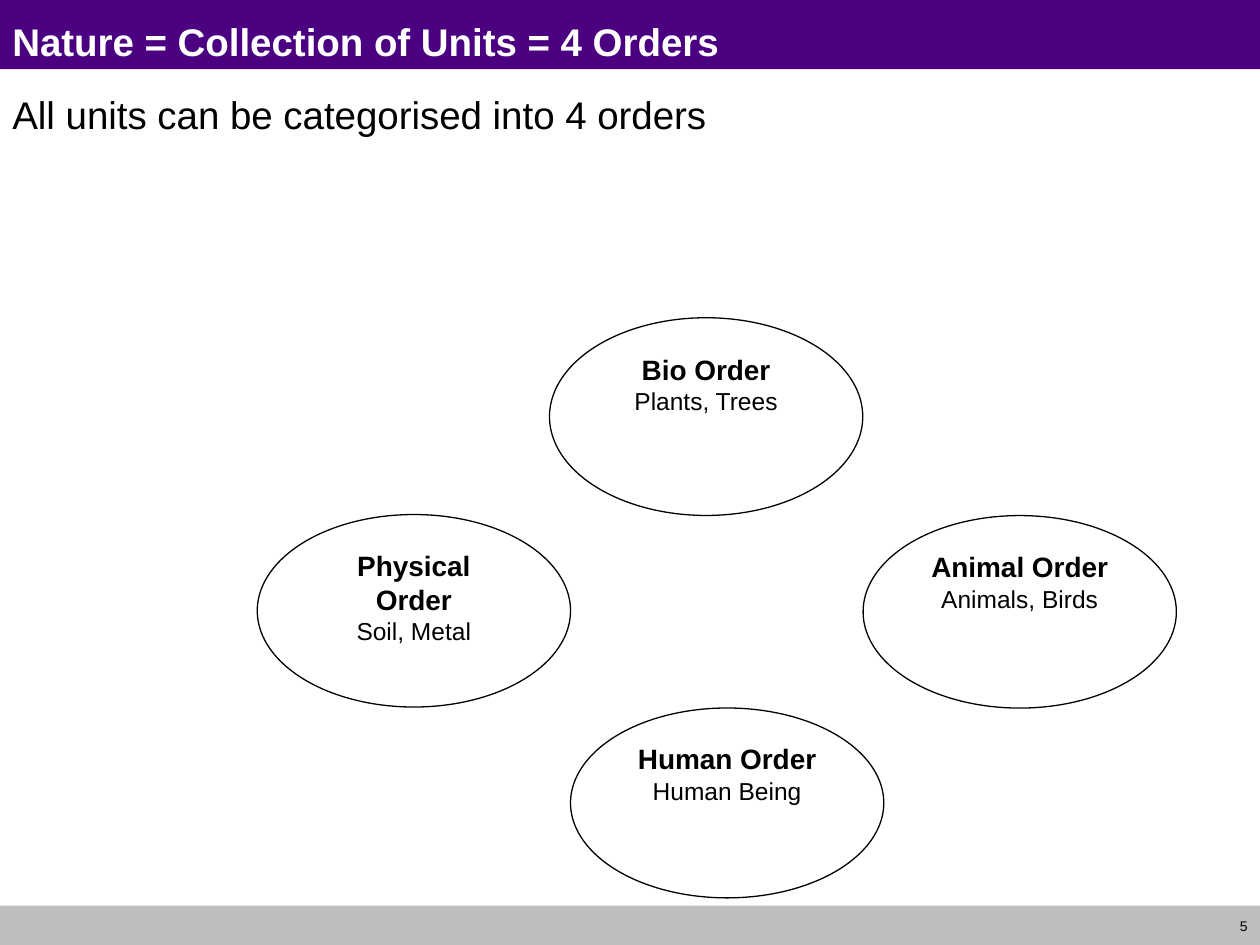
from dataclasses import dataclass

from pptx import Presentation
from pptx.dml.color import RGBColor
from pptx.enum.shapes import MSO_SHAPE
from pptx.enum.text import MSO_ANCHOR, PP_ALIGN
from pptx.util import Pt

COLORS = {"purple": "4B0082", "grey": "BEBEBE", "white": "FFFFFF", "black": "000000"}
FONT = "Arial"
SLIDE_W, SLIDE_H = 720, 540
ORDER_W = 179


@dataclass
class Box:
    x: float
    y: float
    w: float
    h: float

    def emu(self) -> tuple:
        return Pt(self.x), Pt(self.y), Pt(self.w), Pt(self.h)


@dataclass
class Order:
    name: str
    examples: str
    x: float
    y: float
    h: float


ORDERS = [
    Order("Animal Order", "Animals, Birds", 493.2, 294.6, 110),
    Order("Physical Order", "Soil, Metal", 147, 294, 110),
    Order("Bio Order", "Plants, Trees", 314, 181.6, 113),
    Order("Human Order", "Human Being", 326, 404.6, 108.5),
]


def rgb(name: str) -> RGBColor:
    return RGBColor.from_string(COLORS[name])


def add_run(p, text: str, size: float, color: str = "black", bold: bool = False) -> None:
    r = p.add_run()
    r.text = text
    r.font.name = FONT
    r.font.size = Pt(size)
    r.font.bold = bold
    r.font.color.rgb = rgb(color)


def add_filled(s, kind: MSO_SHAPE, box: Box, fill: str):
    sp = s.shapes.add_shape(kind, *box.emu())
    sp.shadow.inherit = False
    sp.fill.solid()
    sp.fill.fore_color.rgb = rgb(fill)
    sp.line.fill.background()
    return sp


def add_text(s, box: Box, text: str, size: float, color: str = "black", bold: bool = False,
             align: PP_ALIGN = PP_ALIGN.LEFT, anchor: MSO_ANCHOR = MSO_ANCHOR.TOP) -> None:
    tf = s.shapes.add_textbox(*box.emu()).text_frame
    tf.word_wrap = True
    tf.vertical_anchor = anchor
    p = tf.paragraphs[0]
    p.alignment = align
    add_run(p, text, size, color, bold)


def add_order(s, order: Order) -> None:
    sp = add_filled(s, MSO_SHAPE.OVAL, Box(order.x, order.y, ORDER_W, order.h), "white")
    sp.line.color.rgb = rgb("black")
    sp.line.width = Pt(0.75)
    tf = sp.text_frame
    tf.word_wrap = True
    tf.vertical_anchor = MSO_ANCHOR.TOP
    name, examples = tf.paragraphs[0], tf.add_paragraph()
    name.alignment = examples.alignment = PP_ALIGN.CENTER
    add_run(name, order.name, 16, bold=True)
    add_run(examples, order.examples, 14)


def main() -> None:
    prs = Presentation()
    prs.slide_width, prs.slide_height = Pt(SLIDE_W), Pt(SLIDE_H)
    s = prs.slides.add_slide(prs.slide_layouts[6])

    add_filled(s, MSO_SHAPE.RECTANGLE, Box(0, 0, SLIDE_W, 39.5), "purple")
    add_filled(s, MSO_SHAPE.RECTANGLE, Box(0, 517.5, SLIDE_W, 23.5), "grey")
    add_text(s, Box(686, 517.5, 34, 23), "5", 8,
             align=PP_ALIGN.RIGHT, anchor=MSO_ANCHOR.MIDDLE)
    add_text(s, Box(0, 7, SLIDE_W, 30), "Nature = Collection of Units = 4 Orders", 22, "white", True)
    add_text(s, Box(0, 48.5, SLIDE_W, 468), "All units can be categorised into 4 orders", 22)
    for order in ORDERS:
        add_order(s, order)

    prs.save("out.pptx")


if __name__ == "__main__":
    main()
